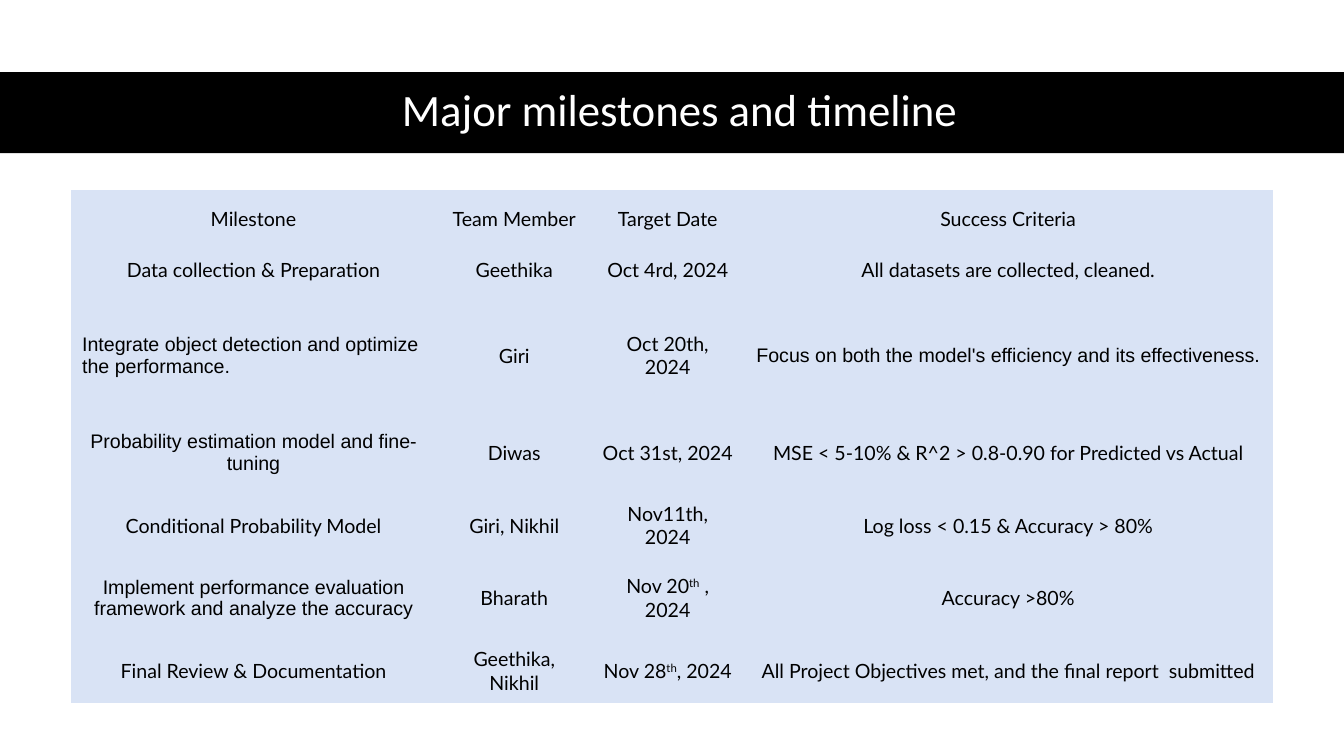
from pptx import Presentation
from pptx.dml.color import RGBColor
from pptx.enum.shapes import MSO_SHAPE as SHAPE
from pptx.enum.text import MSO_ANCHOR as ANCHOR, PP_ALIGN as ALIGN
from pptx.oxml.ns import qn
from pptx.util import Inches, Pt

BLACK = RGBColor(0x00, 0x00, 0x00)
WHITE = RGBColor(0xFF, 0xFF, 0xFF)
PALE_BLUE = RGBColor(0xD9, 0xE3, 0xF5)

NO_GRID_STYLE = "{2D5ABB26-0587-4C30-8999-92F81FD0307C}"
SUPERSCRIPT = "31000"

COL_WIDTHS = [7.24, 3.11, 2.98, 10.53]
ROW_HEIGHTS = [1.01, 1.01, 2.39, 1.47, 1.01, 1.47, 1.01]

INTEGRATE = "Integrate object detection and optimize the performance."
FOCUS = "Focus on both the model's efficiency and its effectiveness."
PROBABILITY = "Probability estimation model and fine-tuning"
IMPLEMENT = "Implement performance evaluation framework and analyze the accuracy"
ARIAL_TEXTS = {INTEGRATE, FOCUS, PROBABILITY, IMPLEMENT}

# A tuple holds the text before, in and after a superscript.
MILESTONES = [
    ["Milestone", "Team Member", "Target Date", "Success Criteria"],
    ["Data collection & Preparation", "Geethika", "Oct 4rd, 2024",
     "All datasets are collected, cleaned."],
    [INTEGRATE, "Giri", "Oct 20th, 2024", FOCUS],
    [PROBABILITY, "Diwas", "Oct 31st, 2024",
     "MSE < 5-10% & R^2 > 0.8-0.90 for Predicted vs Actual"],
    ["Conditional Probability Model", "Giri, Nikhil", "Nov11th, 2024",
     "Log loss < 0.15 & Accuracy > 80%"],
    [IMPLEMENT, "Bharath", ("Nov 20", "th", " , 2024"), "Accuracy >80%"],
    ["Final Review & Documentation", "Geethika, Nikhil",
     ("Nov 28", "th", ", 2024"),
     "All Project Objectives met, and the final report  submitted"],
]


def add_run(p, text, font, size, color):
    r = p.add_run()
    r.text = text
    r.font.name = font
    r.font.size = Pt(size)
    r.font.color.rgb = color
    return r


def add_band(s):
    band = s.shapes.add_shape(
        SHAPE.RECTANGLE, 0, Inches(1.43), Inches(26.67), Inches(1.61))
    band.shadow.inherit = False
    band.fill.solid()
    band.fill.fore_color.rgb = BLACK
    band.line.fill.background()


def add_title(s, text):
    box = s.shapes.add_textbox(
        Inches(1.22), Inches(1.41), Inches(24.52), Inches(1.63))
    tf = box.text_frame
    tf.word_wrap = True
    tf.vertical_anchor = ANCHOR.MIDDLE
    p = tf.paragraphs[0]
    p.alignment = ALIGN.CENTER
    p.line_spacing = 0.9
    add_run(p, text, "Calibri", 64, WHITE)


def fill_cell(cell, content, side_margin):
    cell.fill.solid()
    cell.fill.fore_color.rgb = PALE_BLUE
    cell.vertical_anchor = ANCHOR.MIDDLE
    cell.margin_left = cell.margin_right = Inches(side_margin)
    cell.margin_top = Inches(0.31)
    cell.margin_bottom = Inches(0.17)
    p = cell.text_frame.paragraphs[0]
    p.alignment = ALIGN.LEFT if content == INTEGRATE else ALIGN.CENTER
    font = "Arial" if content in ARIAL_TEXTS else "Lato"
    parts = content if isinstance(content, tuple) else (content,)
    for i, text in enumerate(parts):
        r = add_run(p, text, font, 28, BLACK)
        if i == 1:
            r.font._element.set("baseline", SUPERSCRIPT)


def add_milestone_table(s):
    frame = s.shapes.add_table(
        len(ROW_HEIGHTS), len(COL_WIDTHS), Inches(1.41), Inches(3.77),
        Inches(sum(COL_WIDTHS)), Inches(sum(ROW_HEIGHTS)))
    table = frame.table
    table.first_row = table.horz_banding = False
    table._tbl.tblPr.find(qn("a:tableStyleId")).text = NO_GRID_STYLE
    for col, width in zip(table.columns, COL_WIDTHS):
        col.width = Inches(width)
    for i, (row, height) in enumerate(zip(table.rows, ROW_HEIGHTS)):
        row.height = Inches(height)
        side_margin = 0.22 if i in (2, 4, 6) else 0.2
        for cell, content in zip(row.cells, MILESTONES[i]):
            fill_cell(cell, content, side_margin)


def main():
    prs = Presentation()
    prs.slide_width = Inches(26.67)
    prs.slide_height = Inches(15)
    s = prs.slides.add_slide(prs.slide_layouts[6])
    add_band(s)
    add_title(s, "Major milestones and timeline")
    add_milestone_table(s)
    prs.save("out.pptx")


if __name__ == "__main__":
    main()
